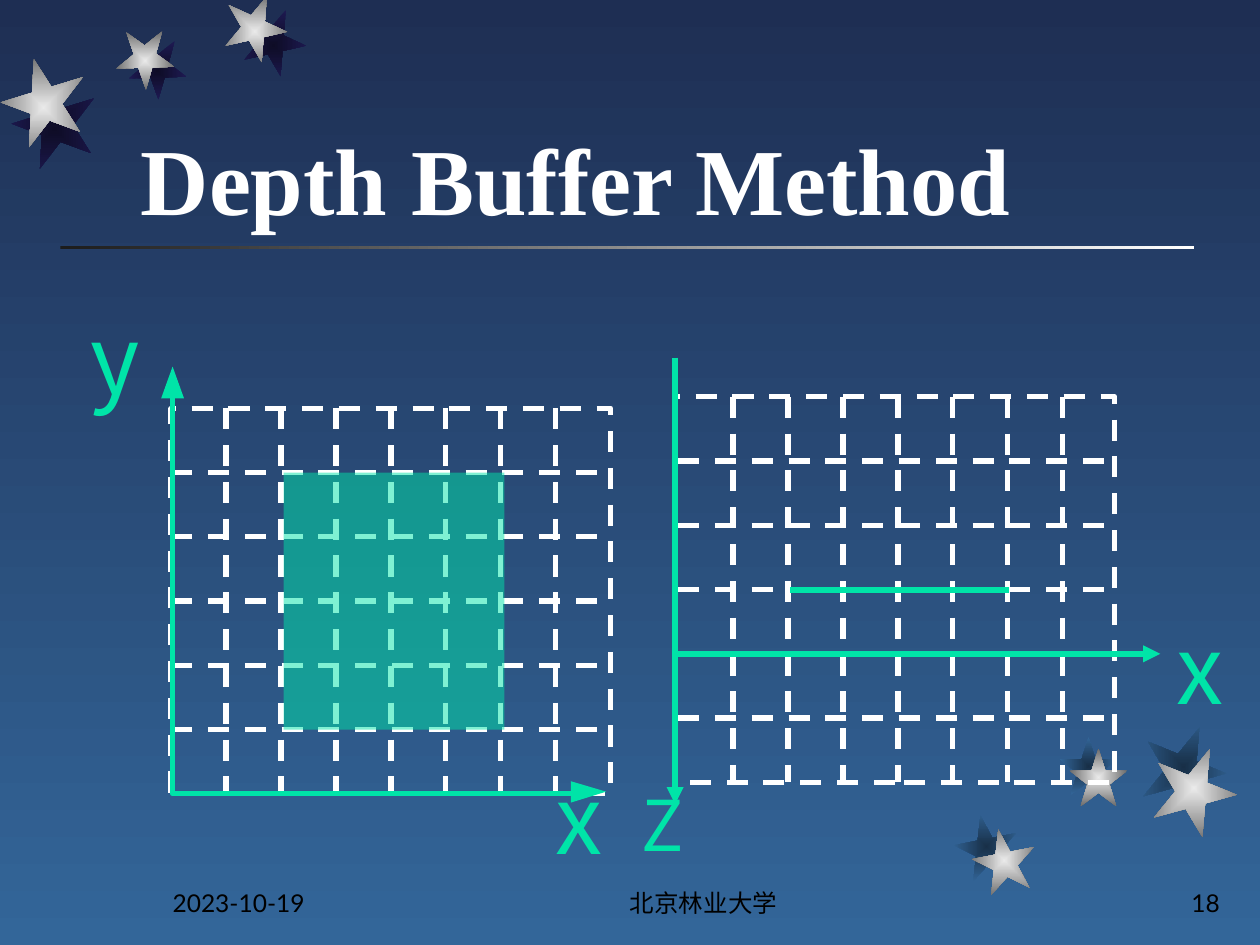
from lxml import etree
from pptx import Presentation
from pptx.dml.color import RGBColor
from pptx.enum.dml import MSO_LINE
from pptx.enum.shapes import MSO_CONNECTOR, MSO_SHAPE
from pptx.enum.text import MSO_ANCHOR as ANCHOR, PP_ALIGN as ALIGN
from pptx.oxml.ns import qn
from pptx.util import Cm, Pt

WHITE, GREEN = "FFFFFF", "00E4A8"


def rgb(value):
    return RGBColor.from_string(value)


def add_line(shapes, x1, y1, x2, y2, color, width, dash=None, arrow=False):
    ln = shapes.add_connector(MSO_CONNECTOR.STRAIGHT, Cm(x1), Cm(y1), Cm(x2), Cm(y2))
    ln.line.color.rgb = rgb(color)
    ln.line.width = Pt(width)
    ln.line.dash_style = dash
    if arrow:
        etree.SubElement(ln.line._get_or_add_ln(), qn("a:tailEnd"), type="triangle")
    etree.SubElement(ln._element.spPr, qn("a:effectLst"))


prs = Presentation()
prs.slide_width, prs.slide_height = Cm(25.4), Cm(19.05)
s = prs.slides.add_slide(prs.slide_layouts[6])

# Background and rule under the title
rule = s.shapes.add_shape(MSO_SHAPE.RECTANGLE, Cm(1.22), Cm(4.95), Cm(22.86), Cm(0.08))
rule.shadow.inherit = False
rule.line.fill.background()
gradients = [
    (s.background.fill, "1E2E53", "336699", 270),
    (rule.fill, "1C1C1C", WHITE, 0),
]

# Stars: shadows of each cluster first, then the bright stars
# (left, top, size, rotation)
NIGHT, SEA, SILVER = ("0E0C26", "1E1A53"), ("182F47", "336699"), ("EAEAEA", "6C6C6C")
star_layers = [
    (NIGHT, [(4.88, 0.28, 1.27, 167.3), (2.59, 0.84, 1.17, 178.3), (0.25, 1.75, 1.7, 200.3)]),
    (SILVER, [(4.5, 0, 1.27, 167.3), (2.34, 0.64, 1.17, 178.3), (0.03, 1.32, 1.7, 200.3)]),
    (SEA, [(19.25, 16.43, 1.27, 349), (21.36, 14.86, 1.17, 0), (23.01, 14.61, 1.7, 22)]),
    (SILVER, [(19.61, 16.71, 1.27, 349), (21.56, 15.09, 1.17, 0), (23.22, 15.04, 1.7, 22)]),
]
for (inner, outer), stars in star_layers:
    for x, y, size, turn in stars:
        sp = s.shapes.add_shape(MSO_SHAPE.STAR_5_POINT, Cm(x), Cm(y), Cm(size), Cm(size))
        sp.rotation = turn
        sp.shadow.inherit = False
        sp.line.fill.background()
        gradients.append((sp.fill, inner, outer, None))

# Gradient fills; no angle means spreading from the centre
for fill, first, last, angle in gradients:
    fill.gradient()
    for stop, color in zip(fill.gradient_stops, (first, last)):
        stop.color.rgb = rgb(color)
    if angle is not None:
        fill.gradient_angle = angle
        continue
    lin = fill._xPr.find(".//" + qn("a:lin"))
    spread = etree.Element(qn("a:path"), path="rect")
    etree.SubElement(spread, qn("a:fillToRect"), l="50000", t="50000", r="50000", b="50000")
    lin.getparent().replace(lin, spread)

# Dashed pixel grids: z-x view on the right, x-y view on the left
COLS, ROWS, GRID_W, GRID_H = 8, 6, 8.86, 7.77
DASHED = (WHITE, 3, MSO_LINE.DASH)
for shapes, left, top, shift in [
    (s.shapes, 13.61, 8, 0.06),
    (s.shapes.add_group_shape().shapes, 3.45, 8.23, 0),
]:
    frame = shapes.add_shape(MSO_SHAPE.RECTANGLE, Cm(left), Cm(top), Cm(GRID_W), Cm(GRID_H))
    frame.shadow.inherit = False
    frame.fill.background()
    frame.line.color.rgb = rgb(WHITE)
    frame.line.width = Pt(3)
    frame.line.dash_style = MSO_LINE.DASH
    x0 = left + shift
    for row in range(1, ROWS):
        y = top + row * GRID_H / ROWS
        add_line(shapes, x0, y, x0 + GRID_W, y, *DASHED)
    for col in range(1, COLS):
        x = x0 + col * GRID_W / COLS
        add_line(shapes, x, top, x, top + GRID_H, *DASHED)

# Translucent square covering 4 x 4 cells
square = s.shapes.add_shape(MSO_SHAPE.RECTANGLE, Cm(5.72), Cm(9.53), Cm(4.45), Cm(5.18))
square.shadow.inherit = False
square.line.fill.background()
square.fill.solid()
square.fill.fore_color.rgb = rgb(GREEN)
tint = square._element.spPr.find(".//" + qn("a:srgbClr"))
etree.SubElement(tint, qn("a:alpha"), val="50000")

# Left axes: open corner line and two arrowheads
for points, closed in [
    ([(11.71, 16), (3.48, 16), (3.48, 8)], False),
    ([(11.51, 15.75), (12.22, 15.96), (11.51, 16.18)], True),
    ([(3.25, 8.03), (3.48, 7.39), (3.71, 8.03)], True),
]:
    start, *rest = [(Cm(x), Cm(y)) for x, y in points]
    builder = s.shapes.build_freeform(*start)
    builder.add_line_segments(rest, close=closed)
    sp = builder.convert_to_shape()
    sp.shadow.inherit = False
    if closed:
        sp.fill.solid()
        sp.fill.fore_color.rgb = rgb(GREEN)
        sp.line.fill.background()
    else:
        sp.fill.background()
        sp.line.color.rgb = rgb(GREEN)
        sp.line.width = Pt(3)

# Right axes and the square seen edge-on
for x1, y1, x2, y2, arrow in [
    (13.61, 7.21, 13.61, 16.21, True),
    (13.59, 13.18, 23.39, 13.18, True),
    (15.93, 11.89, 20.35, 11.89, False),
]:
    add_line(s.shapes, x1, y1, x2, y2, GREEN, 3.25, arrow=arrow)

# Title, axis labels and footer
INSET = dict(margin_left=Cm(0.25), margin_right=Cm(0.25), margin_top=Cm(0.13),
             margin_bottom=Cm(0.13), word_wrap=True, vertical_anchor=ANCHOR.BOTTOM)
TIGHT = dict(margin_left=0, margin_right=0, margin_top=0, margin_bottom=0, word_wrap=False)
TITLE = dict(name="Times New Roman", size=Pt(54), bold=True)
LABEL = dict(name="Noto Sans CJK SC", size=Pt(54))
SMALL = dict(LABEL, size=Pt(40))
FOOTER = dict(name="Lato", size=Pt(14))
for text, x, y, w, h, frame, font, color, align in [
    ("Depth Buffer Method", 2.59, 0.79, 18.47, 4.06, INSET, TITLE, WHITE, ALIGN.LEFT),
    ("y", 1.83, 6.05, 0.97, 2.29, TIGHT, LABEL, GREEN, ALIGN.LEFT),
    ("x", 11.2, 15.32, 1.02, 2.29, TIGHT, LABEL, GREEN, ALIGN.LEFT),
    ("Z", 12.93, 15.75, 0.81, 1.7, TIGHT, SMALL, GREEN, ALIGN.LEFT),
    ("x", 23.72, 12.29, 1.02, 2.29, TIGHT, LABEL, GREEN, ALIGN.LEFT),
    ("2023-10-19", 3.23, 17.35, 5.28, 1.27, INSET, FOOTER, "000000", ALIGN.LEFT),
    ("北京林业大学", 10.16, 17.35, 8.05, 1.27, INSET, FOOTER, "000000", ALIGN.CENTER),
    ("18", 19.56, 17.35, 5.28, 1.27, INSET, FOOTER, "000000", ALIGN.RIGHT),
]:
    tf = s.shapes.add_textbox(Cm(x), Cm(y), Cm(w), Cm(h)).text_frame
    for key, value in frame.items():
        setattr(tf, key, value)
    p = tf.paragraphs[0]
    p.alignment = align
    r = p.add_run()
    r.text = text
    for key, value in font.items():
        setattr(r.font, key, value)
    r.font.color.rgb = rgb(color)

prs.save("out.pptx")
